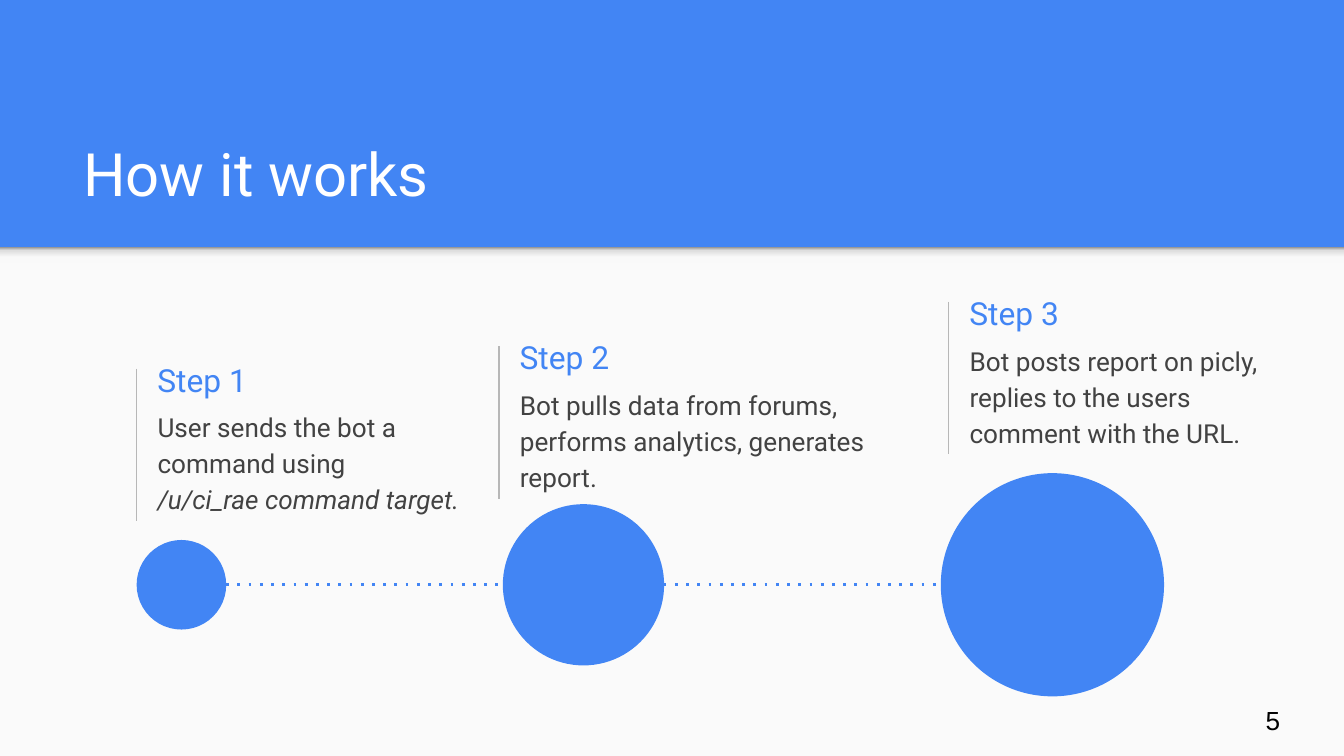
from lxml import etree
from pptx import Presentation
from pptx.dml.color import RGBColor
from pptx.enum.dml import MSO_LINE_DASH_STYLE as Dash
from pptx.enum.shapes import MSO_CONNECTOR as Connector, MSO_SHAPE as Shape
from pptx.enum.text import MSO_ANCHOR as Anchor, MSO_AUTO_SIZE as AutoSize, PP_ALIGN as Align
from pptx.oxml.ns import qn
from pptx.util import Pt

BLUE, PANEL, GREY, DARK = "4285F4", "FAFAFA", "B7B7B7", "424242"
PANEL_TOP = 132.5
TIMELINE_Y = 313.3
SHADOW_STOPS = [(0, "F9F9F9"), (36, "F9F9F9"), (80, "DEDEDE"), (100, "999999")]
STEPS = [
    ("Step 1", 73.2, 197.5, 190.8,
     [("User sends the bot a command using", False), ("/u/ci_rae command target.", True)]),
    ("Step 2", 267.3, 185.5, 237.6,
     [("Bot pulls data from forums, performs analytics, generates report.", False)]),
    ("Step 3", 508.2, 161.7, 187.2,
     [("Bot posts report on picly, replies to the users comment with the URL.", False)]),
]
CIRCLES = [(97.2, 48), (312.6, 86.4), (563.8, 119.6)]


def color(value):
    """Turn a hex string into a colour."""
    return RGBColor.from_string(value)


def place(shape, left, top, width, height):
    """Move and size a shape, in points."""
    shape.left, shape.top = Pt(left), Pt(top)
    shape.width, shape.height = Pt(width), Pt(height)


def set_frame(shape, anchor):
    """Give a text frame equal insets, wrapping and a fixed size."""
    frame = shape.text_frame
    frame.word_wrap = True
    frame.auto_size = AutoSize.NONE
    frame.vertical_anchor = anchor
    frame.margin_left = frame.margin_right = Pt(7.2)
    frame.margin_top = frame.margin_bottom = Pt(7.2)
    return frame


def add_run(paragraph, text, size, hex_color, font="Roboto", italic=False):
    """Append a formatted run to a left-aligned paragraph."""
    paragraph.alignment = Align.LEFT
    run = paragraph.add_run()
    run.text = text
    run.font.name, run.font.size = font, Pt(size)
    run.font.bold, run.font.italic = False, italic
    run.font.color.rgb = color(hex_color)


def add_filled(slide, preset, left, top, width, height, hex_color):
    """Add a flat shape without outline."""
    shape = slide.shapes.add_shape(preset, Pt(left), Pt(top), Pt(width), Pt(height))
    shape.shadow.inherit = False
    shape.line.fill.background()
    shape.fill.solid()
    shape.fill.fore_color.rgb = color(hex_color)
    return shape


def add_header_shadow(slide):
    """Add the gradient strip below the header band."""
    strip = add_filled(slide, Shape.RECTANGLE, 0, PANEL_TOP, 720, 8.6, PANEL)
    strip.fill.gradient()
    strip.fill.gradient_angle = 90
    stops = strip.fill._fill._gradFill.find(qn("a:gsLst"))
    for stop in list(stops):
        stops.remove(stop)
    for position, value in SHADOW_STOPS:
        stop = etree.SubElement(stops, qn("a:gs"), pos=str(position * 1000))
        etree.SubElement(stop, qn("a:srgbClr"), val=value)


def add_line(slide, start, end, hex_color, width):
    """Add a straight line without shadow."""
    line = slide.shapes.add_connector(
        Connector.STRAIGHT, Pt(start[0]), Pt(start[1]), Pt(end[0]), Pt(end[1]))
    line.line.color.rgb = color(hex_color)
    line.line.width = Pt(width)
    etree.SubElement(line._element.spPr, qn("a:effectLst"))
    return line


def add_label(slide, text, box, size, hex_color, font="Roboto"):
    """Add a one-line text box centred vertically."""
    shape = slide.shapes.add_textbox(*map(Pt, box))
    frame = set_frame(shape, Anchor.MIDDLE)
    add_run(frame.paragraphs[0], text, size, hex_color, font)


def fill_title(title):
    """Place and write the slide title."""
    place(title, 37.4, 58.3, 647.3, 60.5)
    frame = set_frame(title, Anchor.BOTTOM)
    add_run(frame.paragraphs[0], "How it works", 32, "FFFFFF")


def fill_body(body, box, lines):
    """Place and write a step description without bullets."""
    place(body, *box)
    frame = set_frame(body, Anchor.TOP)
    for index, (text, italic) in enumerate(lines):
        paragraph = frame.add_paragraph() if index else frame.paragraphs[0]
        paragraph.line_spacing = 1.15
        paragraph.space_before = paragraph.space_after = Pt(0)
        properties = paragraph._p.get_or_add_pPr()
        properties.set("marL", "0")
        properties.set("indent", "0")
        etree.SubElement(properties, qn("a:buNone"))
        add_run(paragraph, text, 14, DARK, italic=italic)


def add_step(slide, body, heading, left, top, width, lines):
    """Add one step: side rule, heading and description."""
    add_line(slide, (left, top), (left, top + 81.6), GREY, 0.75)
    add_label(slide, heading, (left + 4, top - 9.6, 142.6, 31), 17, BLUE)
    fill_body(body, (left + 4, top + 13.4, width, 45.4), lines)


def add_timeline(slide):
    """Add the dotted line and the growing circles on it."""
    (first_x, first_size), (last_x, last_size) = CIRCLES[0], CIRCLES[-1]
    line = add_line(slide, (first_x + first_size / 2, TIMELINE_Y),
                    (last_x - last_size / 2, TIMELINE_Y), BLUE, 1.5)
    line.line.dash_style = Dash.ROUND_DOT
    line._element.spPr.find(".//" + qn("a:prstDash")).set("val", "dot")
    for center, size in CIRCLES:
        add_filled(slide, Shape.OVAL, center - size / 2, TIMELINE_Y - size / 2, size, size, BLUE)


def main():
    """Build and save the slide."""
    presentation = Presentation()
    presentation.slide_width, presentation.slide_height = Pt(720), Pt(405)
    slide = presentation.slides.add_slide(presentation.slide_layouts[4])
    slide.background.fill.solid()
    slide.background.fill.fore_color.rgb = color(BLUE)
    title, *bodies, spare = slide.placeholders
    spare._element.getparent().remove(spare._element)
    panel = add_filled(slide, Shape.RECTANGLE, 0, PANEL_TOP, 720, 405 - PANEL_TOP, PANEL)
    add_header_shadow(slide)
    for placeholder in (title, *bodies):
        slide.shapes._spTree.append(placeholder._element)
    fill_title(title)
    for body, step in zip(bodies, STEPS):
        add_step(slide, body, *step)
    add_timeline(slide)
    add_label(slide, "5", (671, 370.1, 43.2, 31), 14, "000000", "Arial")
    presentation.save("out.pptx")


if __name__ == "__main__":
    main()
